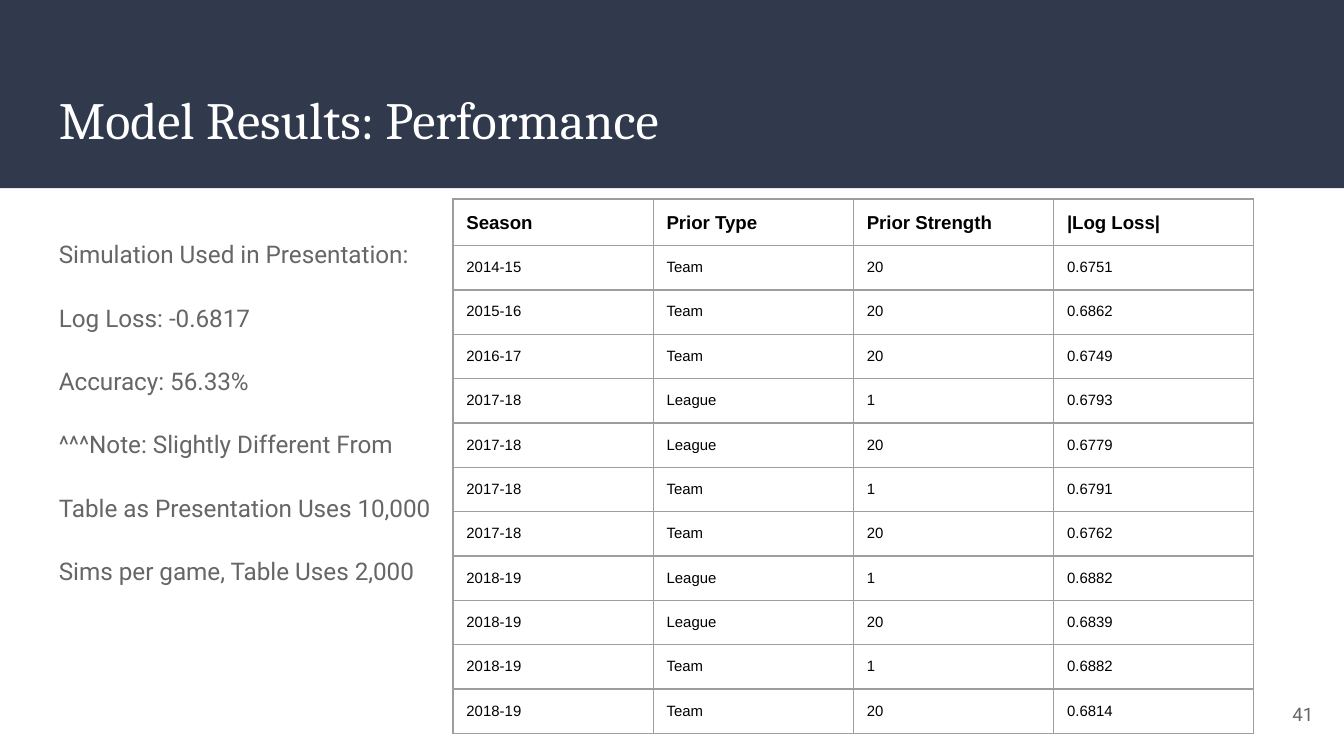
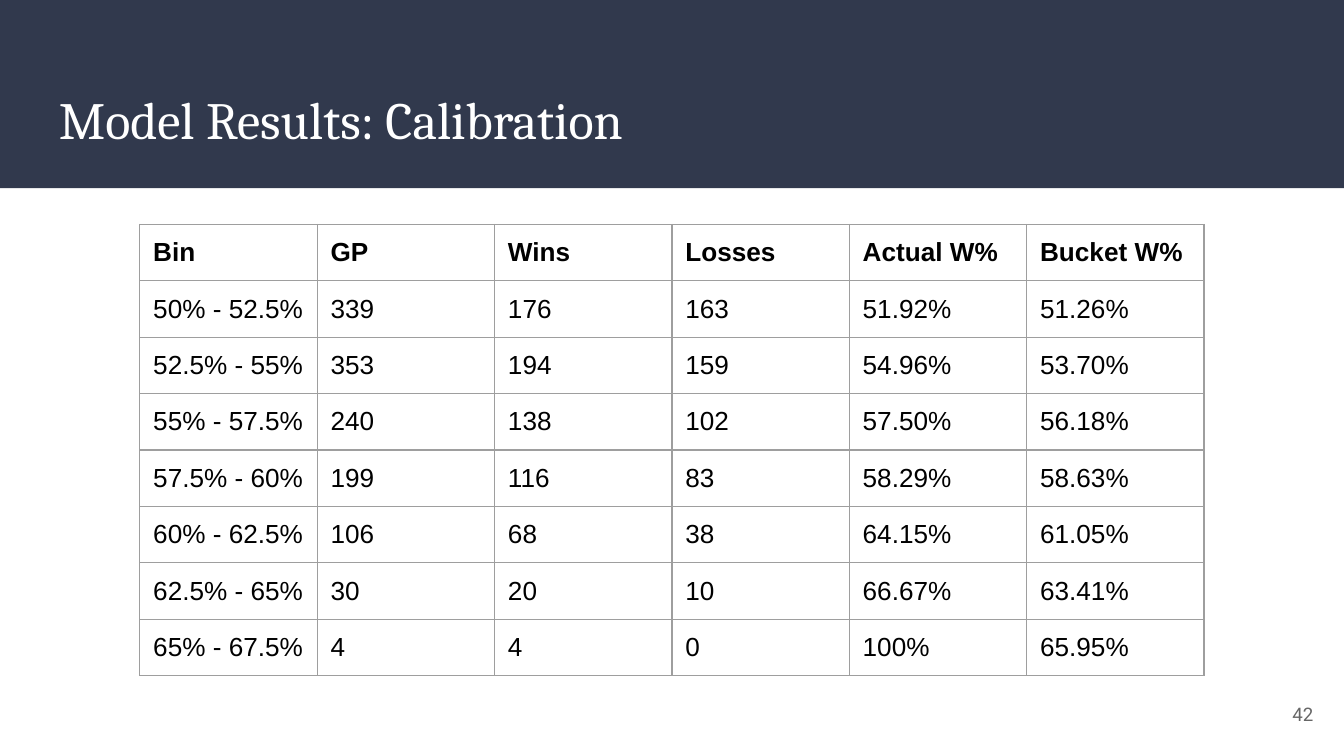
from lxml.etree import SubElement
from pptx import Presentation
from pptx.dml.color import RGBColor
from pptx.enum.shapes import MSO_SHAPE
from pptx.enum.text import MSO_ANCHOR, PP_ALIGN
from pptx.oxml.ns import qn
from pptx.util import Inches, Pt

# Shared look
NAVY, WHITE, BLACK = "31394D", "FFFFFF", "000000"
GREY, RULE = "666666", "9E9E9E"
PAD = Inches(0.1)


def paint(item, color):
    """Colour a fill or a font."""
    if hasattr(item, "solid"):
        item.solid()
        item.fore_color.rgb = RGBColor.from_string(color)
    else:
        item.color.rgb = RGBColor.from_string(color)


def write(frame, text, font="Arial", size=10, color=BLACK, bold=False,
          align=PP_ALIGN.LEFT, anchor=MSO_ANCHOR.TOP, line=None, gap=0):
    """Fill a text frame, one paragraph per line of text."""
    frame.word_wrap = True
    frame.vertical_anchor = anchor
    frame.margin_left = frame.margin_right = PAD
    frame.margin_top = frame.margin_bottom = PAD
    for i, words in enumerate(text.split("\n")):
        para = frame.add_paragraph() if i else frame.paragraphs[0]
        para.alignment = align
        if line:
            para.line_spacing = line
        if i and gap:
            para.space_before = Pt(gap)
        run = para.add_run()
        run.text = words
        run.font.name, run.font.size, run.font.bold = font, Pt(size), bold
        paint(run.font, color)


# Content
notes = """Simulation Used in Presentation:
Log Loss: -0.6817
Accuracy: 56.33%
^^^Note: Slightly Different From
Table as Presentation Uses 10,000
Sims per game, Table Uses 2,000"""

loss = [
    ("Season", "Prior Type", "Prior Strength", "|Log Loss|"),
    ("2014-15", "Team", "20", "0.6751"),
    ("2015-16", "Team", "20", "0.6862"),
    ("2016-17", "Team", "20", "0.6749"),
    ("2017-18", "League", "1", "0.6793"),
    ("2017-18", "League", "20", "0.6779"),
    ("2017-18", "Team", "1", "0.6791"),
    ("2017-18", "Team", "20", "0.6762"),
    ("2018-19", "League", "1", "0.6882"),
    ("2018-19", "League", "20", "0.6839"),
    ("2018-19", "Team", "1", "0.6882"),
    ("2018-19", "Team", "20", "0.6814"),
]

bins = [
    ("Bin", "GP", "Wins", "Losses", "Actual W%", "Bucket W%"),
    ("50% - 52.5%", "339", "176", "163", "51.92%", "51.26%"),
    ("52.5% - 55%", "353", "194", "159", "54.96%", "53.70%"),
    ("55% - 57.5%", "240", "138", "102", "57.50%", "56.18%"),
    ("57.5% - 60%", "199", "116", "83", "58.29%", "58.63%"),
    ("60% - 62.5%", "106", "68", "38", "64.15%", "61.05%"),
    ("62.5% - 65%", "30", "20", "10", "66.67%", "63.41%"),
    ("65% - 67.5%", "4", "4", "0", "100%", "65.95%"),
]

# Title, page, side text, rows, table left and top, cell width and height,
# header size, body size
pages = [
    ("Model Results: Performance", "41", notes, loss,
     3.37, 1.48, 1.49, 0.33, 10, 8),
    ("Model Results: Calibration", "42", None, bins,
     1.04, 1.67, 1.32, 0.42, 14, 14),
]

# Widescreen, 16 to 9
deck = Presentation()
deck.slide_width = Inches(10)
deck.slide_height = Inches(10 * 9 / 16)

for title, page, side, rows, left, top, wide, high, head, size in pages:
    slide = deck.slides.add_slide(deck.slide_layouts[6])
    shapes = slide.shapes
    paint(slide.background.fill, WHITE)

    # Band and title
    band = shapes.add_shape(MSO_SHAPE.RECTANGLE, 0, 0, Inches(10), Inches(1.4))
    band.shadow.inherit = False
    paint(band.fill, NAVY)
    band.line.fill.background()
    box = shapes.add_textbox(Inches(0.34), Inches(0.55), Inches(9.32), Inches(0.68))
    write(box.text_frame, title, font="Cambria", size=28, color=WHITE)

    # Side text
    if side:
        box = shapes.add_textbox(Inches(0.34), Inches(1.65), Inches(4.37), Inches(3.36))
        write(box.text_frame, side, font="Roboto", size=13, color=GREY,
              line=1.15, gap=16)

    # Page number
    box = shapes.add_textbox(Inches(9.27), Inches(5.1), Inches(0.6), Inches(0.43))
    write(box.text_frame, page, font="Roboto", color=GREY,
          align=PP_ALIGN.RIGHT, anchor=MSO_ANCHOR.MIDDLE)

    # Table
    count = len(rows[0])
    grid = shapes.add_table(len(rows), count, Inches(left), Inches(top),
                            Inches(wide * count), Inches(high * len(rows))).table
    grid.horz_banding = False
    for col in grid.columns:
        col.width = Inches(wide)
    for r, row in enumerate(rows):
        grid.rows[r].height = Inches(high)
        for c, value in enumerate(row):
            cell = grid.cell(r, c)
            write(cell.text_frame, value, size=size if r else head, bold=r == 0)
            cell.margin_left = cell.margin_right = cell.margin_top = PAD
            # A tighter foot keeps the rows from growing
            cell.margin_bottom = Inches(0.08)
            # Borders come before the fill in the cell's XML
            props = cell._tc.get_or_add_tcPr()
            for edge in ("a:lnL", "a:lnR", "a:lnT", "a:lnB"):
                ln = SubElement(props, qn(edge), w=str(Pt(0.75)))
                fill = SubElement(ln, qn("a:solidFill"))
                SubElement(fill, qn("a:srgbClr"), val=RULE)
            cell.fill.background()

deck.save("out.pptx")
